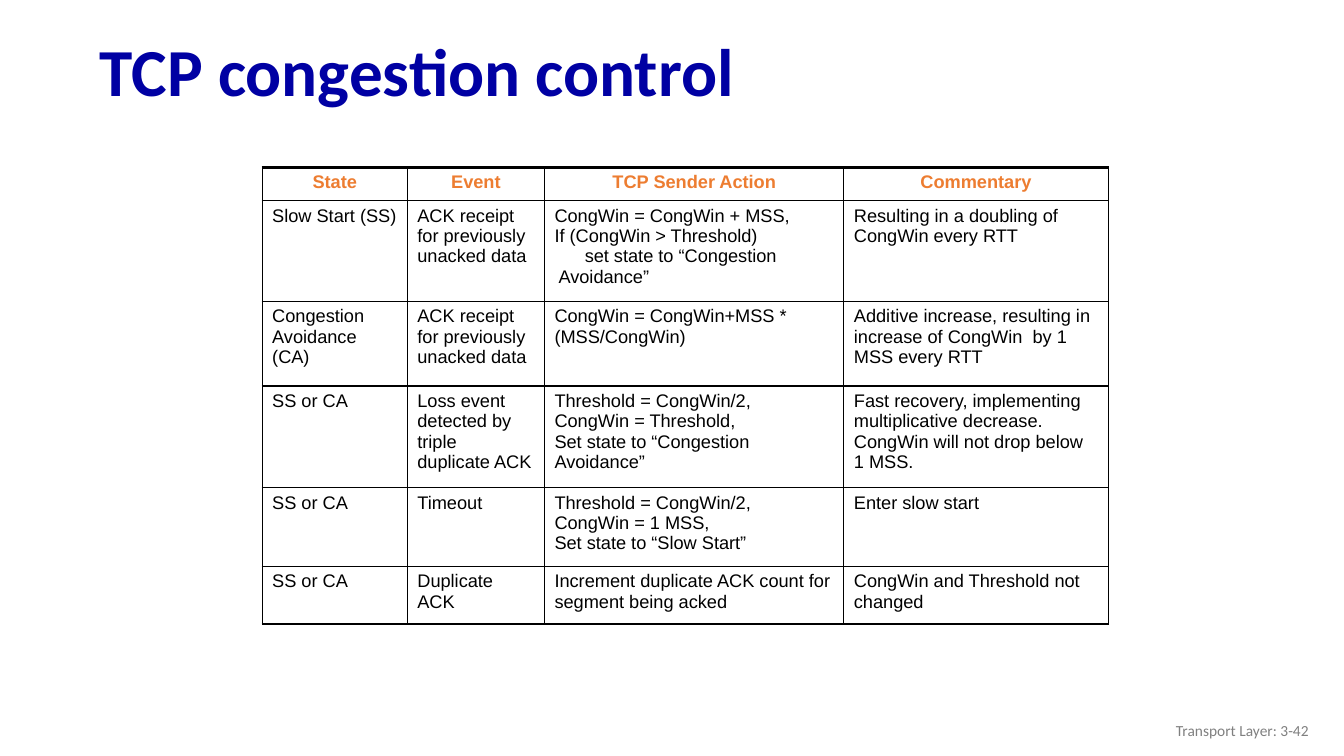
"""Build a slide with a table that sums up TCP congestion control."""
from dataclasses import dataclass

from lxml.etree import SubElement
from pptx import Presentation
from pptx.dml.color import RGBColor
from pptx.enum.text import MSO_ANCHOR, MSO_AUTO_SIZE, PP_ALIGN
from pptx.oxml.ns import qn
from pptx.util import Inches, Pt


@dataclass(frozen=True)
class Theme:
    heading_font: str = "Calibri"
    table_font: str = "Arial"
    title_color: str = "0000A3"
    header_color: str = "ED7D31"
    text_color: str = "000000"
    footer_color: str = "808080"
    title_size: float = 48
    table_size: float = 13
    footer_size: float = 11
    side_line: float = 0.75
    row_line: float = 1
    outer_line: float = 2


theme = Theme()


def add_span(para, text, font, size, color, bold=False):
    span = para.add_run()
    span.text = text
    span.font.name = font
    span.font.size = Pt(size)
    span.font.bold = bold
    span.font.color.rgb = RGBColor.from_string(color)


def add_border(cell, side, width):
    line = SubElement(cell._tc.get_or_add_tcPr(), qn(f"a:ln{side}"), w=str(Pt(width)))
    fill = SubElement(line, qn("a:solidFill"))
    SubElement(fill, qn("a:srgbClr"), val=theme.text_color)


deck = Presentation()
deck.slide_width = Inches(13.33)
deck.slide_height = Inches(7.5)
page = deck.slides.add_slide(deck.slide_layouts[5])

title = page.shapes.title
title.left, title.top = Inches(0.89), Inches(0.25)
title.width, title.height = Inches(12.44), Inches(0.98)
title.text_frame.auto_size = MSO_AUTO_SIZE.NONE
title.text_frame.vertical_anchor = MSO_ANCHOR.MIDDLE
para = title.text_frame.paragraphs[0]
para.alignment = PP_ALIGN.LEFT
para.line_spacing = 0.9
add_span(para, "TCP congestion control", theme.heading_font, theme.title_size,
         theme.title_color, bold=True)

footer = page.shapes.add_textbox(Inches(10.08), Inches(7.05), Inches(3), Inches(0.4))
footer.text_frame.word_wrap = True
footer.text_frame.vertical_anchor = MSO_ANCHOR.MIDDLE
para = footer.text_frame.paragraphs[0]
para.alignment = PP_ALIGN.RIGHT
add_span(para, "Transport Layer: 3-42", theme.heading_font, theme.footer_size,
         theme.footer_color)

indented_line = "set state to “Congestion Avoidance”"
rows = [
    ["State", "Event", "TCP Sender Action", "Commentary"],
    ["Slow Start (SS)", "ACK receipt for previously unacked data",
     f"CongWin = CongWin + MSS,\nIf (CongWin > Threshold)\n{indented_line}",
     "Resulting in a doubling of CongWin every RTT"],
    ["Congestion\nAvoidance (CA)", "ACK receipt for previously unacked data",
     "CongWin = CongWin+MSS * (MSS/CongWin)",
     "Additive increase, resulting in increase of CongWin  by 1 MSS every RTT"],
    ["SS or CA", "Loss event detected by triple duplicate ACK",
     "Threshold = CongWin/2,\nCongWin = Threshold,\nSet state to “Congestion Avoidance”",
     "Fast recovery, implementing multiplicative decrease. "
     "CongWin will not drop below 1 MSS."],
    ["SS or CA", "Timeout",
     "Threshold = CongWin/2,\nCongWin = 1 MSS,\nSet state to “Slow Start”",
     "Enter slow start"],
    ["SS or CA", "Duplicate ACK",
     "Increment duplicate ACK count for segment being acked",
     "CongWin and Threshold not changed"],
]
column_widths = [1.44, 1.36, 2.97, 2.62]
row_heights = [0.33, 1, 0.84, 1.01, 0.78, 0.57]

table = page.shapes.add_table(
    len(rows), len(column_widths), Inches(2.6), Inches(1.66),
    Inches(sum(column_widths)), Inches(sum(row_heights))).table
table.first_row = False
table.horz_banding = False
for column, width in zip(table.columns, column_widths):
    column.width = Inches(width)

last_row = len(rows) - 1
for row_index, (texts, height) in enumerate(zip(rows, row_heights)):
    table.rows[row_index].height = Inches(height)
    is_header = row_index == 0
    for column_index, text in enumerate(texts):
        cell = table.cell(row_index, column_index)
        add_border(cell, "L", theme.side_line)
        add_border(cell, "R", theme.side_line)
        add_border(cell, "T", theme.outer_line if is_header else theme.row_line)
        add_border(cell, "B", theme.outer_line if row_index == last_row else theme.row_line)
        cell.fill.background()
        for line_index, line in enumerate(text.split("\n")):
            frame = cell.text_frame
            para = frame.add_paragraph() if line_index else frame.paragraphs[0]
            para.alignment = PP_ALIGN.CENTER if is_header else PP_ALIGN.LEFT
            if line == indented_line:
                properties = para._p.get_or_add_pPr()
                properties.set("marL", str(Inches(0.04)))
                properties.set("indent", str(Inches(0.26)))
            add_span(para, line, theme.table_font, theme.table_size,
                     theme.header_color if is_header else theme.text_color, is_header)

deck.save("out.pptx")
